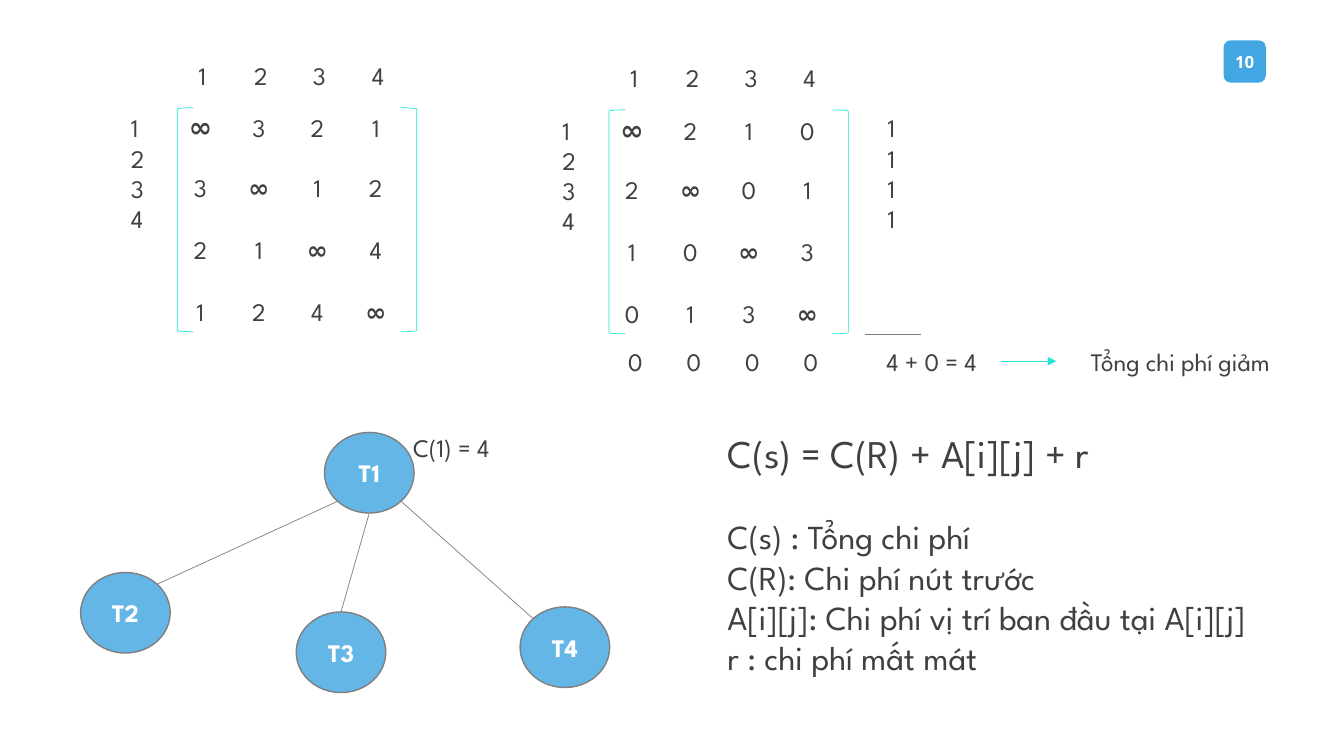
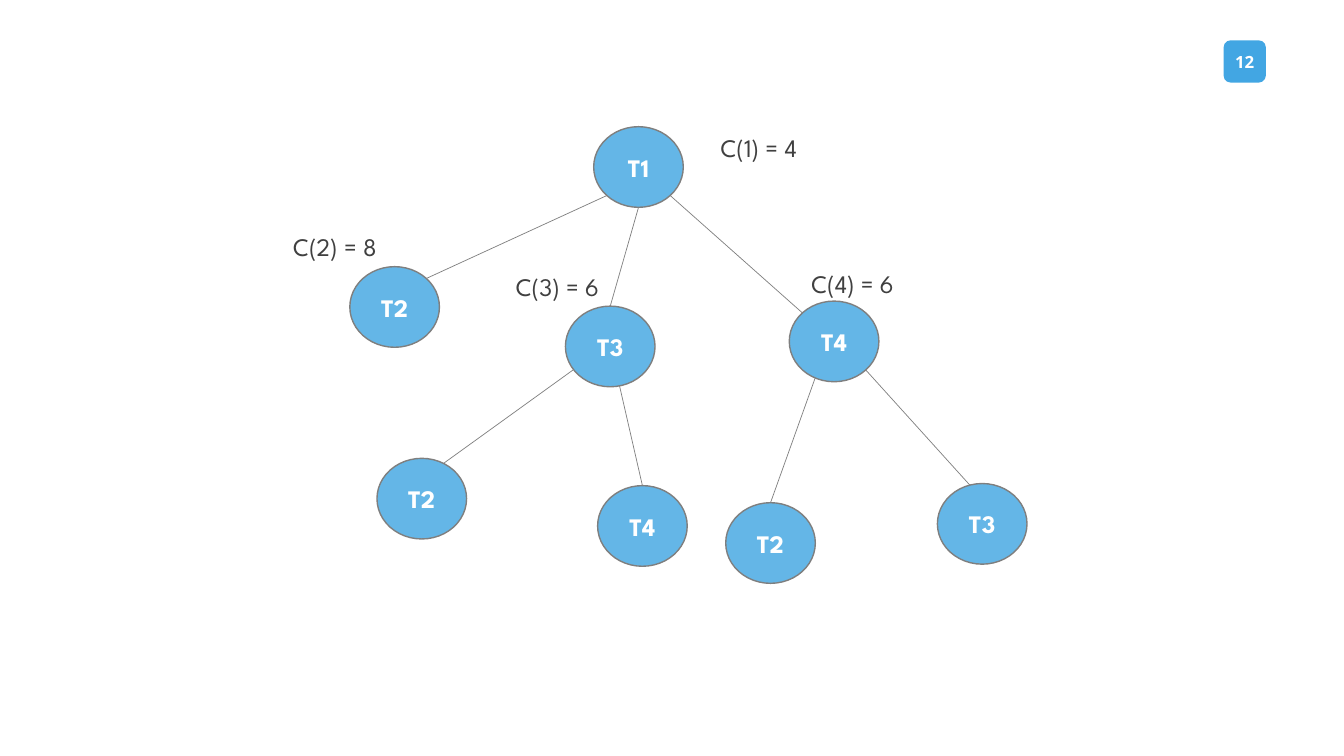
from math import cos, radians, sin

from pptx import Presentation
from pptx.dml.color import RGBColor
from pptx.enum import shapes, text
from pptx.oxml import ns
from pptx.util import Pt
from lxml import etree

BADGE = RGBColor(0x42, 0xA6, 0xE3)
NODE = RGBColor(0x64, 0xB6, 0xE7)
TEAL = RGBColor(0x1D, 0xE7, 0xD8)
GREY = RGBColor(0x7F, 0x7F, 0x7F)
INK = RGBColor(0x40, 0x40, 0x40)
WHITE = RGBColor(0xFF, 0xFF, 0xFF)
FONT, BADGE_FONT = "League Spartan", "Open Sans"
NODE_W, NODE_H = 64, 57.6
COL_X, COL_STEP, COLS = 16.5, 41.75, 4
ROW_STEP = 44.25
MATRIX_W, MATRIX_H = 171, 160


def add_run(p, content, size=18, color=INK, bold=False, font=FONT):
    r = p.add_run()
    r.text = content
    r.font.name, r.font.size, r.font.bold = font, Pt(size), bold
    r.font.color.rgb = color


def add_box(s, x, y, w, h):
    tf = s.shapes.add_textbox(Pt(x), Pt(y), Pt(w), Pt(h)).text_frame
    tf.word_wrap = True
    return tf


def add_lines(s, x, y, w, h, lines, **fmt):
    tf = add_box(s, x, y, w, h)
    for i, line in enumerate(lines):
        p = tf.add_paragraph() if i else tf.paragraphs[0]
        add_run(p, line, **fmt)
    return tf


def add_shape(s, kind, x, y, w, h, fill=None, line=None, width=1):
    sp = s.shapes.add_shape(kind, Pt(x), Pt(y), Pt(w), Pt(h))
    sp.shadow.inherit = False
    if fill is None:
        sp.fill.background()
    else:
        sp.fill.solid()
        sp.fill.fore_color.rgb = fill
    if line is None:
        sp.line.fill.background()
    else:
        sp.line.color.rgb = line
        sp.line.width = Pt(width)
    return sp


def add_caption(sp, content, **fmt):
    tf = sp.text_frame
    tf.margin_left = tf.margin_right = tf.margin_top = tf.margin_bottom = 0
    tf.vertical_anchor = text.MSO_ANCHOR.MIDDLE
    p = tf.paragraphs[0]
    p.alignment = text.PP_ALIGN.CENTER
    add_run(p, content, color=WHITE, bold=True, **fmt)


def add_line(s, start, end, color=GREY, arrow=False):
    c = s.shapes.add_connector(
        shapes.MSO_CONNECTOR.STRAIGHT, *(Pt(v) for v in (*start, *end)))
    c.line.color.rgb = color
    c.line.width = Pt(0.5)
    if arrow:
        etree.SubElement(c.line._get_or_add_ln(), ns.qn("a:tailEnd"), type="triangle")
    etree.SubElement(c._element.spPr, ns.qn("a:effectLst"))


def add_row(s, x, y, values, inf_size=18):
    tf = add_box(s, x, y, 158.4, 29)
    tf.margin_left = tf.margin_right = 0
    p = tf.paragraphs[0]
    tabs = etree.SubElement(p._p.get_or_add_pPr(), ns.qn("a:tabLst"))
    for i in range(COLS):
        etree.SubElement(tabs, ns.qn("a:tab"), algn="ctr",
                         pos=str(int(Pt(COL_X + i * COL_STEP))))
    for value in values.split():
        infinite = value == "∞"
        add_run(p, "\t")
        add_run(p, value, size=inf_size if infinite else 18, bold=infinite)


def add_matrix(s, x, y, rows):
    add_row(s, x + 1.5, y - 37.5, "1 2 3 4")
    add_lines(s, x - 40.3, y, 28, MATRIX_H, "1234")
    for kind, dx in ((shapes.MSO_SHAPE.LEFT_BRACKET, 0),
                     (shapes.MSO_SHAPE.RIGHT_BRACKET, MATRIX_W - 11.5)):
        add_shape(s, kind, x + dx, y, 11.5, MATRIX_H, line=TEAL, width=0.5)
    for i, row in enumerate(rows):
        add_row(s, x, y - 2 + i * ROW_STEP, row, inf_size=18 if i else 20)


def add_reduction(s, x, y):
    add_lines(s, x + 192, y - 1.5, 28, MATRIX_H, "1111")
    add_line(s, (x + 183, y + MATRIX_H), (x + 223, y + MATRIX_H))
    add_row(s, x + 2.5, y + 165.5, "0 0 0 0")
    add_lines(s, x + 191, y + 165.5, 82, 29, ["4 + 0 = 4"])
    add_line(s, (x + 280, y + 179.5), (x + 319.5, y + 179.5), TEAL, arrow=True)
    add_lines(s, x + 337, y + 165.5, 153.5, 29, ["Tổng chi phí giảm"])


def add_formula(s, x, y, w, h):
    tf = add_lines(s, x, y, w, h, ["C(s) = C(R) + A[i][j] + r"], size=28)
    for i, line in enumerate(("C(s) : Tổng chi phí", "C(R): Chi phí nút trước",
                              "A[i][j]: Chi phí vị trí ban đầu tại A[i][j]",
                              "r : chi phí mất mát")):
        p = tf.add_paragraph()
        if i == 0:
            p.space_before = Pt(28.5)
        add_run(p, line, size=24)


def add_node(s, name, x, y):
    sp = add_shape(s, shapes.MSO_SHAPE.OVAL, x, y, NODE_W, NODE_H, NODE, GREY)
    add_caption(sp, name)
    return x, y


def rim(node, degrees):
    a = radians(degrees)
    return (node[0] + NODE_W / 2 * (1 + cos(a)), node[1] + NODE_H / 2 * (1 + sin(a)))


def add_child(s, parent, name, dx, dy, leave, enter):
    child = add_node(s, name, parent[0] + dx, parent[1] + dy)
    add_line(s, rim(parent, leave), rim(child, enter))
    return child


def add_tree(s, x, y):
    root = add_node(s, "T1", x, y)
    add_child(s, root, "T2", -174.2, 100, 135, -45)
    t3 = add_child(s, root, "T3", -20.2, 128.2, 90, -90)
    t4 = add_child(s, root, "T4", 139.7, 124.6, 45, -135)
    return t3, t4


def add_cost(s, x, y, content):
    add_lines(s, x, y, 99.4, 29, [content])


def new_slide(prs, number):
    s = prs.slides.add_slide(prs.slide_layouts[6])
    sp = add_shape(s, shapes.MSO_SHAPE.ROUNDED_RECTANGLE, 874, 28.8, 30.2, 30.2, BADGE)
    add_caption(sp, number, size=12, font=BADGE_FONT)
    return s


def build_matrix_slide(prs):
    s = new_slide(prs, "10")
    add_matrix(s, 126.7, 77, ("∞ 3 2 1", "3 ∞ 1 2", "2 1 ∞ 4", "1 2 4 ∞"))
    add_matrix(s, 435, 78.5, ("∞ 2 1 0", "2 ∞ 0 1", "1 0 ∞ 3", "0 1 3 ∞"))
    add_reduction(s, 435, 78.5)
    add_tree(s, 231.8, 308.9)
    add_cost(s, 288, 305.3, "C(1) = 4")
    add_formula(s, 512.6, 303.1, 412.6, 186.5)


def build_tree_slide(prs):
    s = new_slide(prs, "12")
    t3, t4 = add_tree(s, 424.1, 90.5)
    add_child(s, t3, "T2", -134.6, 108.7, 145, -61)
    add_child(s, t3, "T4", 23, 128.2, 78, -90)
    add_child(s, t4, "T2", -45.4, 144, 115, -90)
    add_child(s, t4, "T3", 105.8, 130.3, 45, -106)
    for x, y, content in ((507.6, 90.7, "C(1) = 4"), (202.3, 162, "C(2) = 8"),
                          (361.4, 190.1, "C(3) = 6"), (572.4, 187.9, "C(4) = 6")):
        add_cost(s, x, y, content)


def main():
    prs = Presentation()
    prs.slide_width, prs.slide_height = Pt(960), Pt(540)
    build_matrix_slide(prs)
    build_tree_slide(prs)
    prs.save("out.pptx")


if __name__ == "__main__":
    main()
